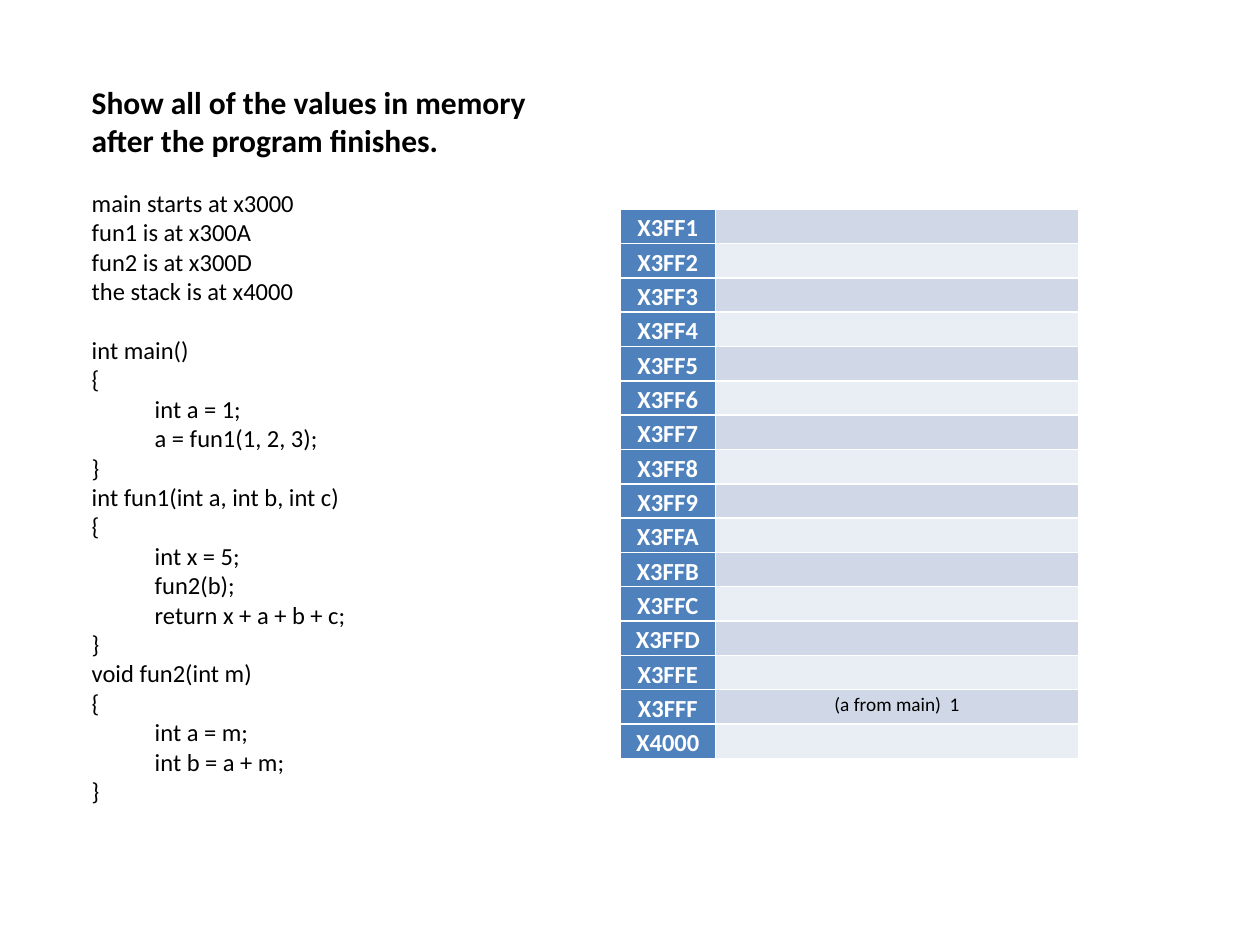
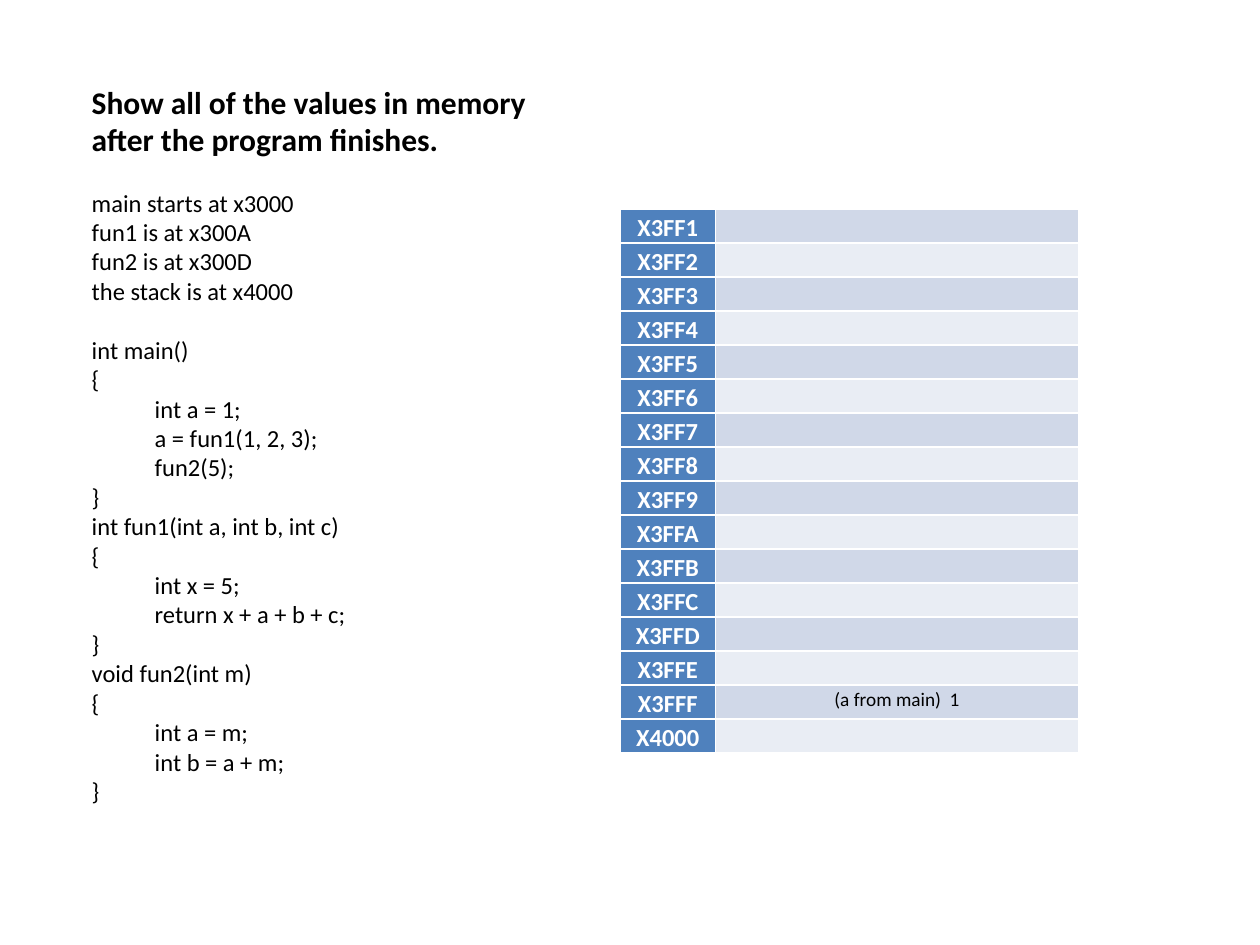
from dataclasses import dataclass

from lxml.etree import SubElement
from pptx import Presentation
from pptx.dml.color import RGBColor as RGB
from pptx.enum.text import MSO_ANCHOR, PP_ALIGN
from pptx.oxml.ns import qn
from pptx.util import Inches, Pt


@dataclass(frozen=True)
class Theme:
    font: str = "Calibri"
    ink: RGB = RGB(0x00, 0x00, 0x00)
    white: RGB = RGB(0xFF, 0xFF, 0xFF)
    address: RGB = RGB(0x4F, 0x81, 0xBD)
    bands: tuple = (RGB(0xD0, 0xD8, 0xE8), RGB(0xE9, 0xED, 0xF4))
    title: Pt = Pt(18)
    body: Pt = Pt(14)
    value: Pt = Pt(11)
    gap: Pt = Pt(16.8)
    border: Pt = Pt(1)


T = Theme()

TITLE = "Show all of the values in memory after the program finishes."
LAYOUT_NOTES = ["main starts at x3000", "fun1 is at x300A", "fun2 is at x300D",
                "the stack is at x4000"]
FUN2 = ["void fun2(int m)", "{", "\tint a = m;", "\tint b = a + m;", "}"]
ADDRESSES = range(0x3FF1, 0x4001)
VALUES = {0x3FFF: "(a from main)  1"}

# Text box top, text box height, body of main, body of fun1
EXERCISES = [
    (0.58, 6.19,
     ["int a = 1;", "a = fun1(1, 2, 3);"],
     ["int x = 5;", "fun2(b);", "return x + a + b + c;"]),
    (0.46, 6.43,
     ["int a = 1;", "a = fun1(1, 2, 3);", "fun2(5);"],
     ["int x = 5;", "return x + a + b + c;"]),
]


def add_run(p, text, size, color, bold=False):
    r = p.add_run()
    r.text = text
    r.font.name = T.font
    r.font.size = size
    r.font.bold = bold
    r.font.color.rgb = color


def style_cell(cell, fill):
    """Set white borders, narrow margins, a fill and centred text."""
    tc_pr = cell._tc.get_or_add_tcPr()
    for side in ("lnL", "lnR", "lnT", "lnB"):
        ln = SubElement(tc_pr, qn(f"a:{side}"), w=str(T.border))
        solid = SubElement(ln, qn("a:solidFill"))
        SubElement(solid, qn("a:srgbClr"), val=str(T.white))
    cell.fill.solid()
    cell.fill.fore_color.rgb = fill
    cell.margin_left = cell.margin_right = Inches(0.07)
    cell.margin_top = cell.margin_bottom = 0
    p = cell.text_frame.paragraphs[0]
    p.alignment = PP_ALIGN.CENTER
    p.line_spacing = 1.15
    return p


prs = Presentation()
prs.slide_width, prs.slide_height = Inches(10), Inches(7.5)

for top, height, main_body, fun1_body in EXERCISES:
    s = prs.slides.add_slide(prs.slide_layouts[6])

    # Memory table
    rows = len(ADDRESSES)
    table = s.shapes.add_table(rows, 2, Inches(4.92), Inches(1.66),
                               Inches(3.64), Inches(0.27) * rows).table
    table.first_row = table.horz_banding = False
    table.columns[0].width = Inches(0.76)
    table.columns[1].width = Inches(2.88)
    for i, address in enumerate(ADDRESSES):
        p = style_cell(table.cell(i, 0), T.address)
        add_run(p, f"X{address:04X}", T.body, T.white, bold=True)
        p = style_cell(table.cell(i, 1), T.bands[i % 2])
        if address in VALUES:
            add_run(p, VALUES[address], T.value, T.ink)
        else:
            # Keeps an empty cell from stretching its row
            p._p.get_or_add_endParaRPr().set("sz", str(int(T.value.pt * 100)))

    # Task and program
    program = ["int main()", "{", *(f"\t{line}" for line in main_body), "}",
               "int fun1(int a, int b, int c)", "{",
               *(f"\t{line}" for line in fun1_body), "}", *FUN2]
    tf = s.shapes.add_textbox(Inches(0.63), Inches(top),
                              Inches(4.04), Inches(height)).text_frame
    tf.word_wrap = True
    tf.vertical_anchor = MSO_ANCHOR.MIDDLE
    tf.margin_bottom = Inches(0.35)
    add_run(tf.paragraphs[0], TITLE, T.title, T.ink, bold=True)
    for block in (LAYOUT_NOTES, program):
        for i, line in enumerate(block):
            p = tf.add_paragraph()
            if i == 0:
                p.space_before = T.gap
            add_run(p, line, T.body, T.ink)

prs.save("out.pptx")
